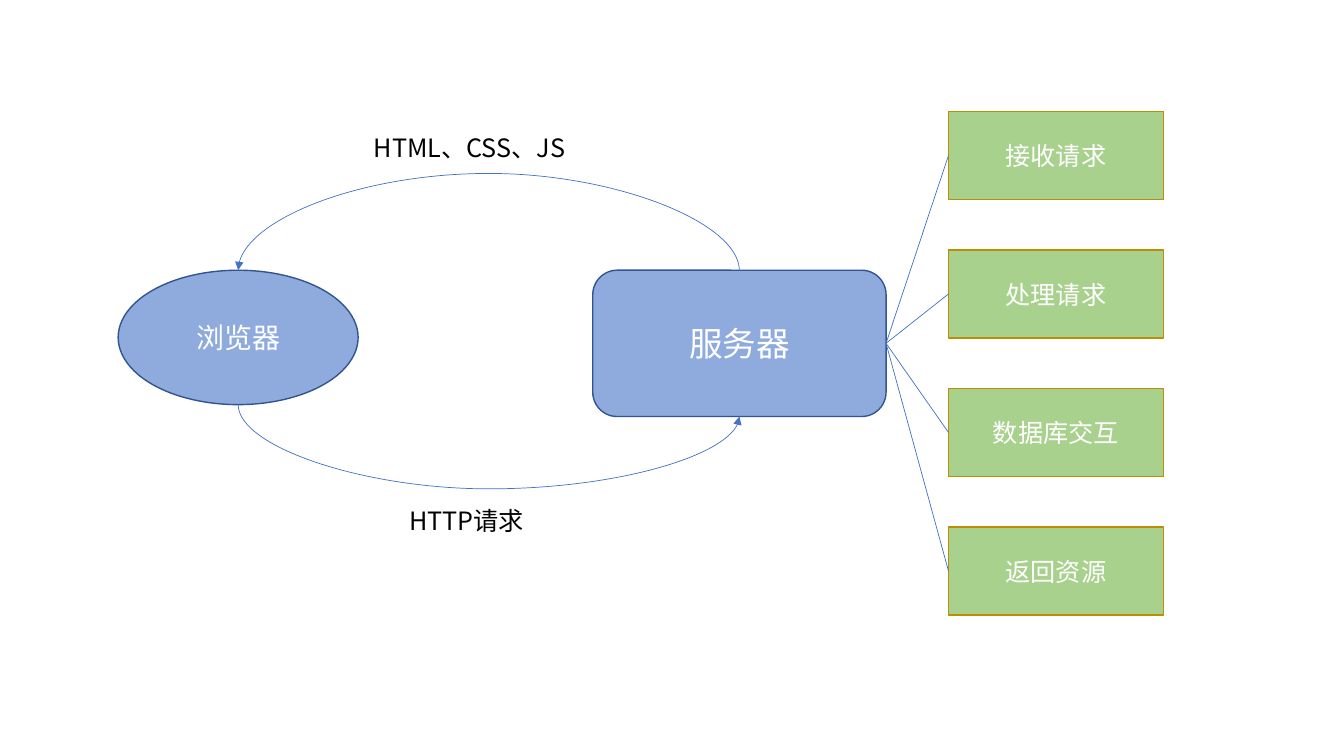
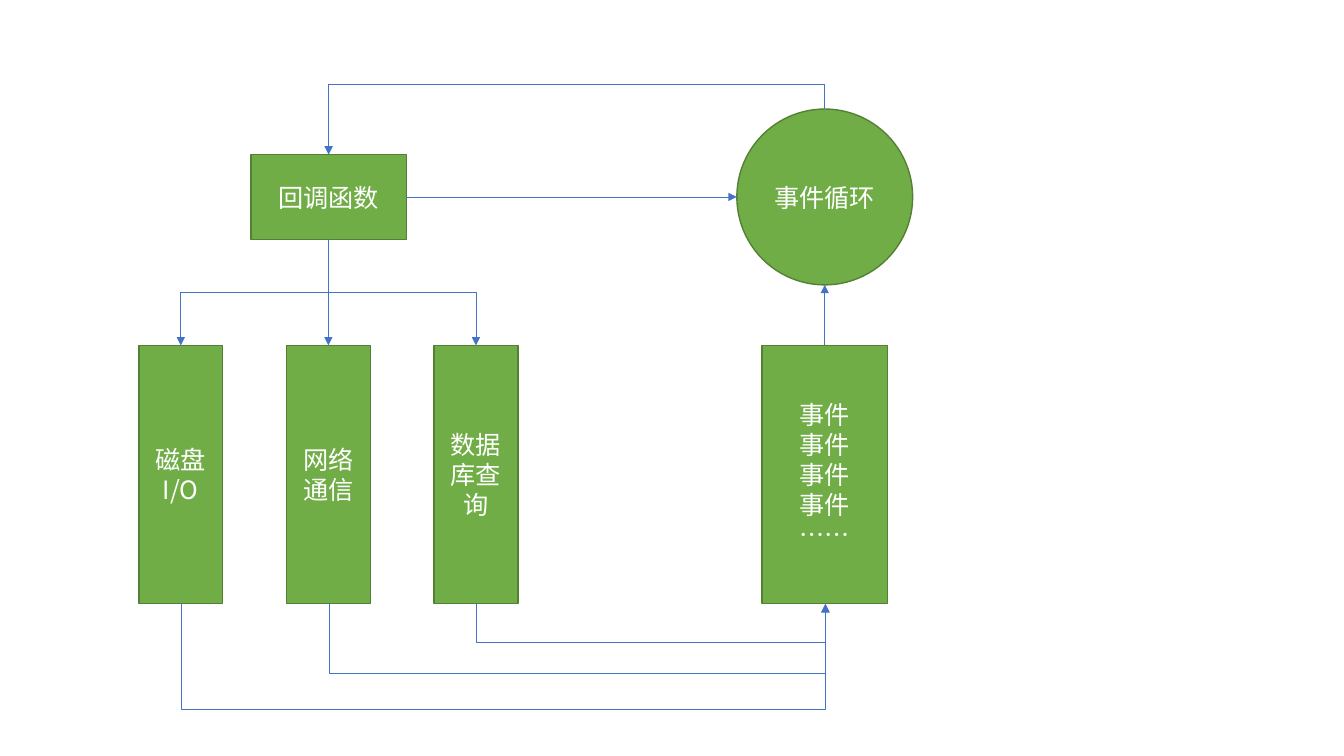
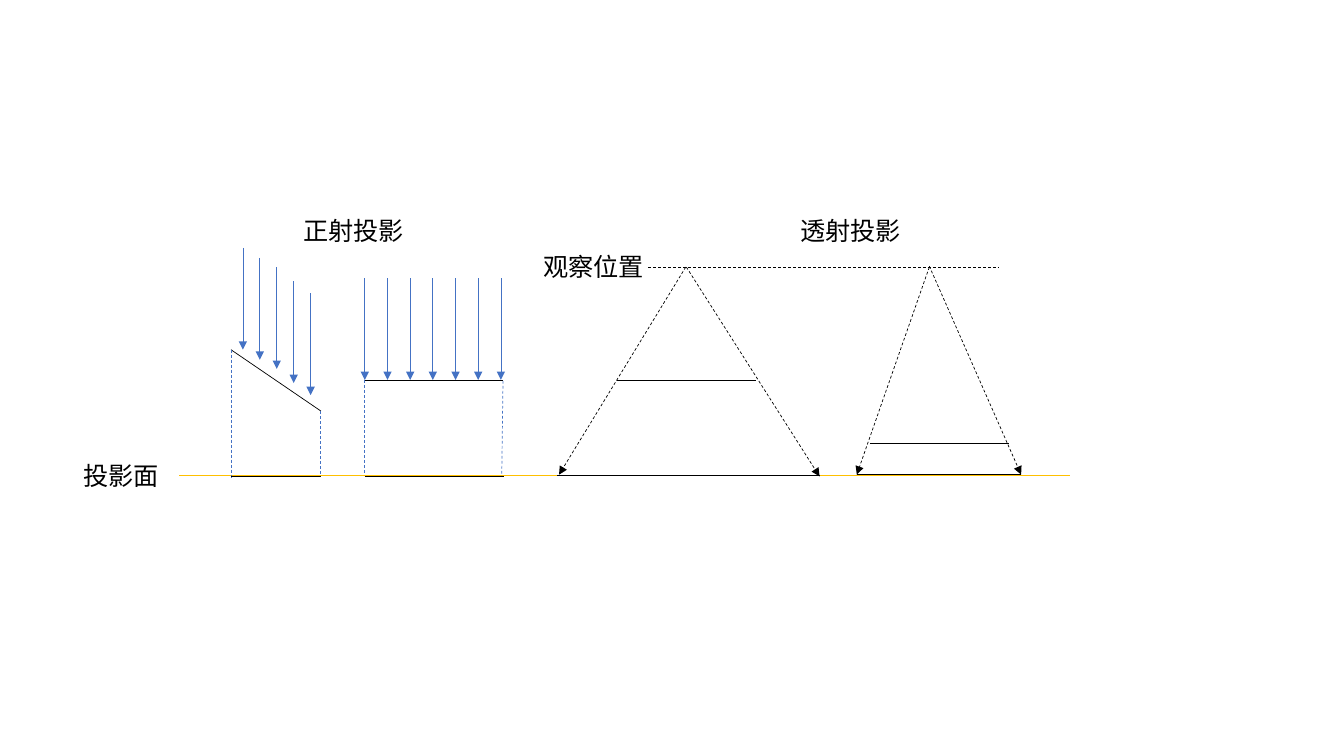
from dataclasses import dataclass

from lxml import etree
from pptx import Presentation
from pptx.dml.color import RGBColor
from pptx.enum.dml import MSO_LINE
from pptx.enum.shapes import MSO_CONNECTOR, MSO_SHAPE
from pptx.enum.text import MSO_ANCHOR, MSO_AUTO_SIZE, PP_ALIGN
from pptx.oxml.ns import qn
from pptx.util import Pt

RECTANGLE, ELLIPSE = MSO_SHAPE.RECTANGLE, MSO_SHAPE.OVAL
ROUNDED = MSO_SHAPE.ROUNDED_RECTANGLE
STRAIGHT, ELBOW, CURVE = MSO_CONNECTOR.STRAIGHT, MSO_CONNECTOR.ELBOW, MSO_CONNECTOR.CURVE
CENTER, LEFT = PP_ALIGN.CENTER, PP_ALIGN.LEFT
MIDDLE, DASH = MSO_ANCHOR.MIDDLE, MSO_LINE.DASH
FIT_TEXT = MSO_AUTO_SIZE.SHAPE_TO_FIT_TEXT

FONT = "Noto Sans CJK SC"
WHITE, BLACK, BLUE, GOLD = "FFFFFF", "000000", "4472C4", "FFC000"
LABEL_HEIGHT = 29

Point = tuple[float, float]


@dataclass(frozen=True)
class Style:
    fill: str
    line: str


PALE_BLUE = Style("8FAADC", "325491")
PALE_GREEN = Style("A9D18E", "BD8E00")
GREEN = Style("70AD47", "538035")


@dataclass(frozen=True)
class Box:
    text: str
    left: float
    top: float
    width: float
    height: float
    style: Style
    kind: int = RECTANGLE
    size: float = 18

    @property
    def center(self) -> Point:
        return self.left + self.width / 2, self.top + self.height / 2

    @property
    def top_mid(self) -> Point:
        return self.center[0], self.top

    @property
    def bottom_mid(self) -> Point:
        return self.center[0], self.top + self.height

    @property
    def left_mid(self) -> Point:
        return self.left, self.center[1]

    @property
    def right_mid(self) -> Point:
        return self.left + self.width, self.center[1]


@dataclass(frozen=True)
class Segment:
    start: Point
    end: Point
    color: str = BLACK
    dashed: bool = False
    arrow: bool = False


def paint(color_holder, color: str) -> None:
    """Set a solid colour on a fill or on a font's fill."""
    color_holder.solid()
    color_holder.fore_color.rgb = RGBColor.from_string(color)


def write_text(frame, text: str, *, size: float = 18, color: str = BLACK,
               align=LEFT) -> None:
    for index, line in enumerate(text.split("\n")):
        para = frame.add_paragraph() if index else frame.paragraphs[0]
        para.alignment = align
        span = para.add_run()
        span.text = line
        span.font.size = Pt(size)
        span.font.name = FONT
        paint(span.font.fill, color)
        properties = span.font._element if hasattr(span.font, "_element") else span._r.rPr
        etree.SubElement(properties, qn("a:ea"), typeface=FONT)


def draw_box(page, box: Box) -> None:
    shape = page.shapes.add_shape(
        box.kind, Pt(box.left), Pt(box.top), Pt(box.width), Pt(box.height))
    shape.shadow.inherit = False
    paint(shape.fill, box.style.fill)
    paint(shape.line.fill, box.style.line)
    shape.line.width = Pt(1)
    shape.text_frame.word_wrap = True
    shape.text_frame.vertical_anchor = MIDDLE
    write_text(shape.text_frame, box.text, size=box.size, color=WHITE, align=CENTER)


def draw_label(page, text: str, left: float, top: float, width: float,
               wrap: bool = False) -> None:
    label = page.shapes.add_textbox(Pt(left), Pt(top), Pt(width), Pt(LABEL_HEIGHT))
    label.text_frame.word_wrap = wrap
    label.text_frame.auto_size = FIT_TEXT
    write_text(label.text_frame, text)


def style_line(connector, color: str, *, dashed: bool = False,
               arrow: bool = False) -> None:
    paint(connector.line.fill, color)
    connector.line.width = Pt(0.5)
    if dashed:
        connector.line.dash_style = DASH
    properties = connector.element.spPr
    if arrow:
        etree.SubElement(properties.find(qn("a:ln")), qn("a:tailEnd"), type="triangle")
    etree.SubElement(properties, qn("a:effectLst"))


def draw_segment(page, segment: Segment) -> None:
    connector = page.shapes.add_connector(
        STRAIGHT, *(Pt(value) for value in (*segment.start, *segment.end)))
    style_line(connector, segment.color, dashed=segment.dashed, arrow=segment.arrow)


def draw_route(page, kind: int, start: Point, end: Point, via_y: float) -> None:
    """Draw an arrow that leaves vertically and crosses over at height via_y.

    The preset runs sideways, so its frame is laid out turned and then rotated.
    """
    across, down = end[0] - start[0], end[1] - start[1]
    middle_x, middle_y = (start[0] + end[0]) / 2, (start[1] + end[1]) / 2
    half_width, half_height = abs(down) / 2, abs(across) / 2
    connector = page.shapes.add_connector(
        kind,
        Pt(middle_x - half_width), Pt(middle_y - half_height),
        Pt(middle_x + half_width), Pt(middle_y + half_height))
    properties = connector.element.spPr
    frame = properties.find(qn("a:xfrm"))
    quarter_turns = 1 if down > 0 and across <= 0 else 3
    frame.set("rot", str(quarter_turns * 90 * 60000))
    if down > 0 and across > 0:
        frame.set("flipH", "1")
    elif down < 0 and across < 0:
        frame.set("flipV", "1")
    adjustments = properties.find(qn("a:prstGeom")).find(qn("a:avLst"))
    ratio = round((via_y - start[1]) / down * 100000)
    etree.SubElement(adjustments, qn("a:gd"), name="adj1", fmla=f"val {ratio}")
    style_line(connector, BLUE, arrow=True)


def build_request_page(page) -> None:
    browser = Box("浏览器", 84.4, 193, 171.4, 96, PALE_BLUE, ELLIPSE, 20)
    server = Box("服务器", 423.4, 193, 209.5, 104.5, PALE_BLUE, ROUNDED, 24)
    names = ("接收请求", "处理请求", "数据库交互", "返回资源")
    steps = [Box(name, 677.5, 79.7 + 98.9 * row, 153.4, 62.8, PALE_GREEN)
             for row, name in enumerate(names)]
    for box in (browser, server, *steps):
        draw_box(page, box)

    draw_route(page, CURVE, browser.bottom_mid, server.bottom_mid, 349.2)
    draw_label(page, "HTTP请求", 285.1, 357.1, 178.6, wrap=True)
    server_x, server_top = server.top_mid
    draw_route(page, CURVE, (server_x, server_top + 0.5), browser.top_mid, 125.3)
    draw_label(page, "HTML、CSS、JS", 259.9, 90.7, 178.6, wrap=True)
    for step in steps:
        draw_segment(page, Segment(server.right_mid, step.left_mid, BLUE))


def build_event_loop_page(page) -> None:
    callback = Box("回调函数", 179.2, 110.4, 111, 60.6, GREEN)
    loop = Box("事件循环", 526.3, 77.9, 125.6, 125.6, GREEN, ELLIPSE)
    names = ("磁盘I/O", "网络通信", "数据库查询")
    tasks = [Box(name, 99.2 + 105.4 * column, 246.8, 59.9, 184.2, GREEN)
             for column, name in enumerate(names)]
    events = Box("事件\n事件\n事件\n事件\n……", 544.3, 246.8, 89.6, 184.2, GREEN)
    for box in (callback, loop, *tasks, events):
        draw_box(page, box)

    draw_route(page, ELBOW, loop.top_mid, callback.top_mid, 60)
    draw_segment(page, Segment(callback.right_mid, loop.left_mid, BLUE, arrow=True))
    draw_segment(page, Segment(events.top_mid, loop.bottom_mid, BLUE, arrow=True))
    for task in tasks:
        draw_route(page, ELBOW, callback.bottom_mid, task.top_mid, 208.9)
    events_x, events_bottom = events.bottom_mid
    for task, via_y in zip(tasks, (505, 480.3, 458)):
        task_x, task_bottom = task.bottom_mid
        draw_route(page, ELBOW, (task_x + 0.5, task_bottom),
                   (events_x + 0.5, events_bottom + 0.5), via_y)


def build_projection_page(page) -> None:
    plane_y, eye_y, object_y, arrow_length = 339.8, 190.8, 271.4, 72.7
    slope_tops = (177.1, 184.3, 190.8, 200.9, 209.5)
    rays = [(173.5 + 12.1 * index, top) for index, top in enumerate(slope_tops)]
    rays += [(260.6 + 16.2 * index, object_y - arrow_length) for index in range(7)]

    segments = [
        Segment((128.2, plane_y), (764.6, plane_y), GOLD),
        # Orthographic: objects, drop lines and their images on the plane
        Segment((165, 249.8), (229.2, 293.6)),
        Segment((260.2, object_y), (359.3, object_y)),
        *(Segment((x, top), (x, top + arrow_length), BLUE, arrow=True)
          for x, top in rays),
        Segment((165, 249.8), (165, 341.8), BLUE, dashed=True),
        Segment((229.2, 293.6), (229.2, plane_y), BLUE, dashed=True),
        Segment((165, 340.2), (229.2, 340.2)),
        Segment((260.4, object_y), (260.4, 339.1), BLUE, dashed=True),
        Segment((359.3, 272), (358.4, 340.5), BLUE, dashed=True),
        Segment((260.6, 340.3), (360, 340.3)),
        # Perspective: objects, eye level, sight lines and images
        Segment((440.6, object_y), (540, object_y)),
        Segment((621.4, 316.6), (720.7, 316.6)),
        Segment((463, eye_y), (713.5, eye_y), dashed=True),
        Segment((489.8, eye_y), (399.3, 339.1), dashed=True, arrow=True),
        Segment((490.3, eye_y), (585.4, 340.3), dashed=True, arrow=True),
        Segment((398.2, 339.6), (585.4, 339.6)),
        Segment((663.8, eye_y), (612, 339), dashed=True, arrow=True),
        Segment((663.8, 190.1), (729.4, 339), dashed=True, arrow=True),
        Segment((612, 339), (729.4, 339)),
    ]
    for segment in segments:
        draw_segment(page, segment)

    draw_label(page, "投影面", 52.6, 325.4, 69.1)
    draw_label(page, "正射投影", 209.5, 150.5, 87.1)
    draw_label(page, "观察位置", 380.9, 175.7, 87.1)
    draw_label(page, "透射投影", 564.5, 150.5, 87.1)


def main() -> None:
    deck = Presentation()
    deck.slide_width, deck.slide_height = Pt(960), Pt(540)
    blank = deck.slide_layouts[6]
    for build in (build_request_page, build_event_loop_page, build_projection_page):
        build(deck.slides.add_slide(blank))
    deck.save("out.pptx")


if __name__ == "__main__":
    main()
